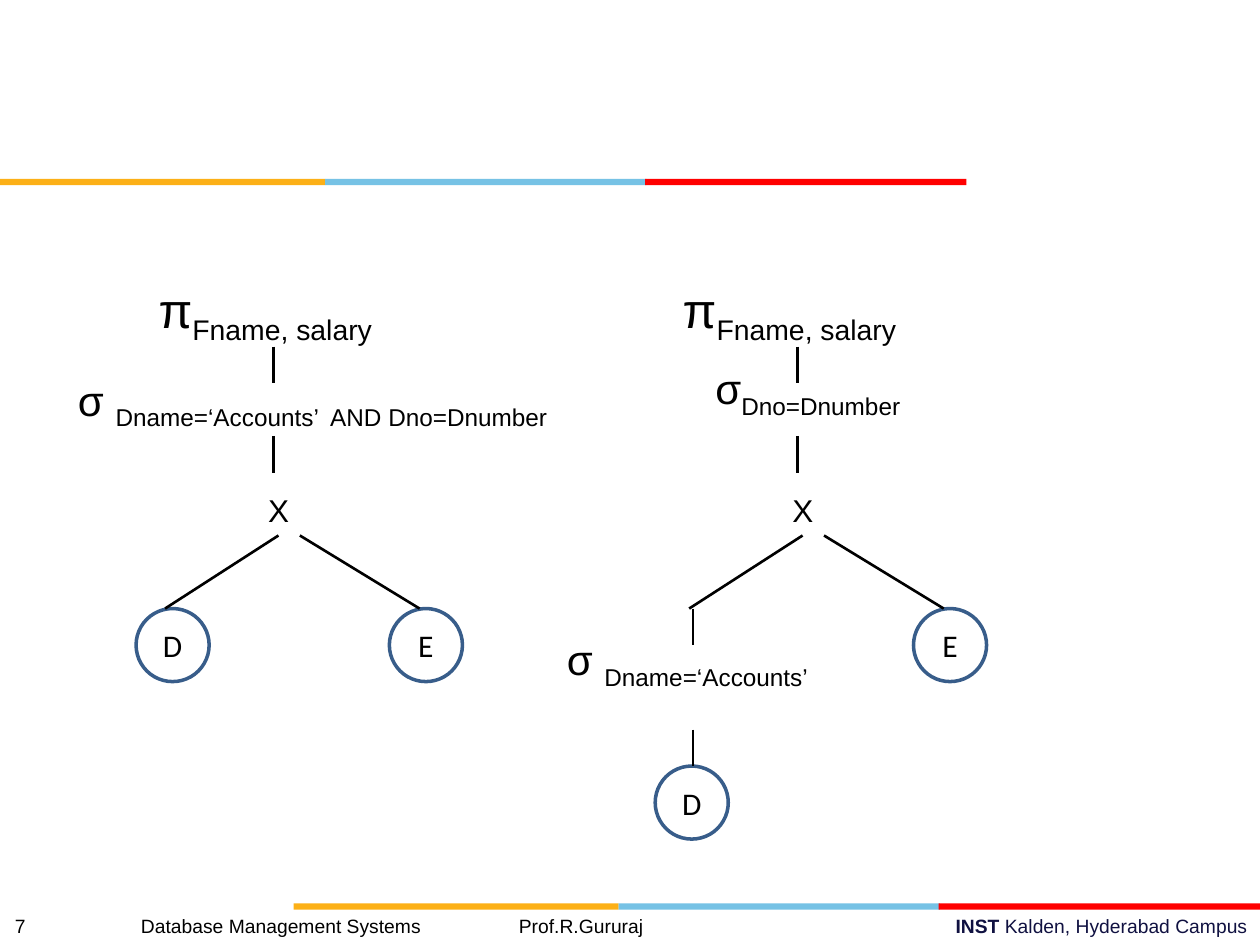
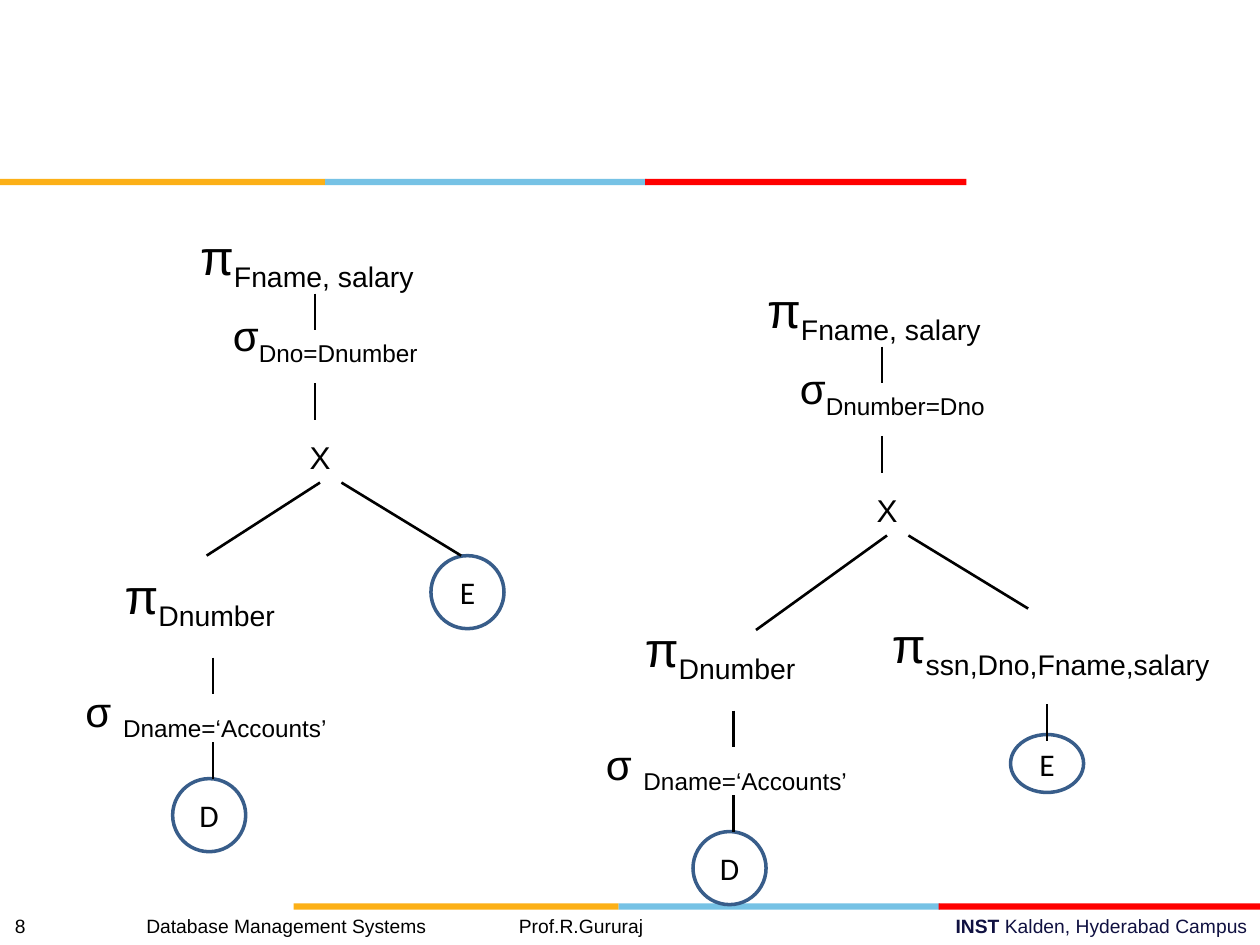
import pptx
import pptx.dml.color
import pptx.enum.shapes
import pptx.enum.text
import pptx.util
from lxml import etree

# ---------- Shared look ----------
WIDTH, HEIGHT = 10, 7.5
BLACK, WHITE, NAVY, RING = "000000", "FFFFFF", "101141", "385D8A"
STRIPES = [("FCB017", 0, 2.58), ("76C2E5", 2.58, 2.55), ("FF0000", 5.12, 2.55)]
STRIPE_H = 0.05
BANDS = [(0, 1.42), (2.33, 7.17)]
FOOTER_TOP, FOOTER_H = 7.21, 0.29
CAMPUS = [("INST ", True), ("Kalden, Hyderabad Campus", False)]
FOOTER_TABS = (1, 4)
OPERATORS = {"π": (28, 0.63), "σ": (24, 0.56)}  # text size, label height
CIRCLE, STEM = 0.58, 0.29

# ---------- Content: places are offsets from the top of each tree's trunk ----------
# label: operator, subscript, left, top, width
# relation: name, left, top, height; stem: x, top; branch: end x, end y
PROJECT = ("π", "Fname, salary", -1.01, 0, 1.89)
LEFT_END, RIGHT_END = (-0.86, 2.66), (1.16, 2.66)
EMPLOYEE = ("E", 0.92, 2.66, CIRCLE)


def join_on(condition):
    return ("σ", condition, -0.75, 0.66, 1.67)


def accounts(left, top):
    return ("σ ", "Dname=‘Accounts’", left, top, 2.22)


def department_chain(left):
    """Labels, stems and relation of the projected department branch."""
    return {
        "labels": [("π", "Dnumber", left, 2.69, 1.39), accounts(left - 0.31, 3.64)],
        "stems": [(left + 0.8, 3.47), (left + 0.8, 4.14)],
        "relations": [("D", left + 0.48, 4.43, CIRCLE)],
    }


near, far = department_chain(-1.61), department_chain(-1.98)

SLIDES = [
    ("7 \tDatabase Management Systems\tProf.R.Gururaj", [
        {"origin": (2.17, 2.17),
         "labels": [PROJECT, ("σ ", "Dname=‘Accounts’  AND Dno=Dnumber", -1.65, 0.75, 3.95)],
         "branches": [LEFT_END, RIGHT_END],
         "stems": [],
         "relations": [("D", -1.09, 2.66, CIRCLE), EMPLOYEE]},
        {"origin": (6.33, 2.17),
         "labels": [PROJECT, join_on("Dno=Dnumber"), accounts(-1.93, 2.81)],
         "branches": [LEFT_END, RIGHT_END],
         "stems": [(-0.83, 2.66), (-0.83, 3.62)],
         "relations": [("D", -1.13, 3.91, CIRCLE), EMPLOYEE]},
    ]),
    ("8\t Database Management Systems\tProf.R.Gururaj", [
        {"origin": (2.5, 1.75),
         "labels": [PROJECT, join_on("Dno=Dnumber")] + near["labels"],
         "branches": [LEFT_END, RIGHT_END],
         "stems": near["stems"],
         "relations": near["relations"] + [EMPLOYEE]},
        {"origin": (7, 2.17),
         "labels": [PROJECT, join_on("Dnumber=Dno"),
                    ("π", "ssn,Dno,Fname,salary", -0.02, 2.66, 2.72)] + far["labels"],
         "branches": [(-1, 2.83), RIGHT_END],
         "stems": far["stems"] + [(1.31, 3.42)],
         "relations": far["relations"] + [("E", 1.02, 3.66, 0.46)]},
    ]),
]


# ---------- Helpers ----------
def inches(*lengths):
    return [pptx.util.Inches(length) for length in lengths]


def color(hex_code):
    return pptx.dml.color.RGBColor.from_string(hex_code)


def style(run, size, hex_code=BLACK, face="Arial", bold=False):
    run.font.size = pptx.util.Pt(size)
    run.font.name = face
    run.font.bold = bold
    run.font.color.rgb = color(hex_code)


def add_preset(slide, preset, box, fill):
    shape = slide.shapes.add_shape(preset, *inches(*box))
    shape.shadow.inherit = False
    shape.fill.solid()
    shape.fill.fore_color.rgb = color(fill)
    return shape


def add_text(slide, box, parts, wrap=False):
    """Add a one-line text box and return its paragraph."""
    frame = slide.shapes.add_textbox(*inches(*box)).text_frame
    frame.word_wrap = wrap
    frame.auto_size = pptx.enum.text.MSO_AUTO_SIZE.SHAPE_TO_FIT_TEXT
    for part in parts:
        frame.paragraphs[0].add_run().text = part
    return frame.paragraphs[0]


def add_line(slide, start, end):
    line = slide.shapes.add_connector(
        pptx.enum.shapes.MSO_CONNECTOR.STRAIGHT, *inches(*start, *end))
    line.line.color.rgb = color(BLACK)
    line.line.width = pptx.util.Pt(1.5)
    etree.SubElement(line._element.spPr, pptx.oxml.ns.qn("a:effectLst"))


def add_frame(slide, footer):
    """Colour bands, campus line and footer that every slide carries."""
    for band_left, band_top in BANDS:
        for fill, left, width in STRIPES:
            stripe = add_preset(slide, pptx.enum.shapes.MSO_SHAPE.RECTANGLE,
                                (band_left + left, band_top, width, STRIPE_H), fill)
            stripe.line.fill.background()

    campus = add_text(slide, (3.58, FOOTER_TOP, WIDTH - 3.58, FOOTER_H),
                      [text for text, _ in CAMPUS], wrap=True)
    campus.alignment = pptx.enum.text.PP_ALIGN.RIGHT
    for run, (_, bold) in zip(campus.runs, CAMPUS):
        style(run, 11, NAVY, bold=bold)

    course = add_text(slide, (0.02, FOOTER_TOP, 5.19, FOOTER_H), [footer])
    style(course.runs[0], 11)
    tabs = etree.SubElement(course._p.get_or_add_pPr(), pptx.oxml.ns.qn("a:tabLst"))
    for stop in FOOTER_TABS:
        etree.SubElement(tabs, pptx.oxml.ns.qn("a:tab"),
                         pos=str(pptx.util.Inches(stop)), algn="l")


def add_tree(slide, tree):
    x, y = tree["origin"]

    # Base relations
    for name, left, top, height in tree["relations"]:
        circle = add_preset(slide, pptx.enum.shapes.MSO_SHAPE.OVAL,
                            (x + left, y + top, CIRCLE, height), WHITE)
        circle.line.color.rgb = color(RING)
        circle.line.width = pptx.util.Pt(2)
        circle.text_frame.text = name
        circle.text_frame.vertical_anchor = pptx.enum.text.MSO_ANCHOR.MIDDLE
        letter = circle.text_frame.paragraphs[0]
        letter.alignment = pptx.enum.text.PP_ALIGN.CENTER
        style(letter.runs[0], 18, face="Calibri")

    # Trunk and lower stems, then the two branches under the product
    for stem_x, top in [(0, 0.58), (0, 1.29)] + tree["stems"]:
        add_line(slide, (x + stem_x, y + top), (x + stem_x, y + top + STEM))
    for start_x, (end_x, end_y) in zip((0.04, 0.21), tree["branches"]):
        add_line(slide, (x + start_x, y + 2.08), (x + end_x, y + end_y))

    # Cartesian product and operators with their subscripts
    product = add_text(slide, (x - 0.14, y + 1.68, 0.36, 0.4), ["X"])
    style(product.runs[0], 18)
    for operator, subscript, left, top, width in tree["labels"]:
        size, height = OPERATORS[operator.strip()]
        label = add_text(slide, (x + left, y + top, width, height), [operator, subscript])
        for run in label.runs:
            style(run, size)
        label.runs[1]._r.get_or_add_rPr().set("baseline", "-25000")


def main():
    deck = pptx.Presentation()
    deck.slide_width, deck.slide_height = inches(WIDTH, HEIGHT)
    blank = deck.slide_layouts[6]
    for footer, trees in SLIDES:
        slide = deck.slides.add_slide(blank)
        add_frame(slide, footer)
        for tree in trees:
            add_tree(slide, tree)
    deck.save("out.pptx")


if __name__ == "__main__":
    main()
